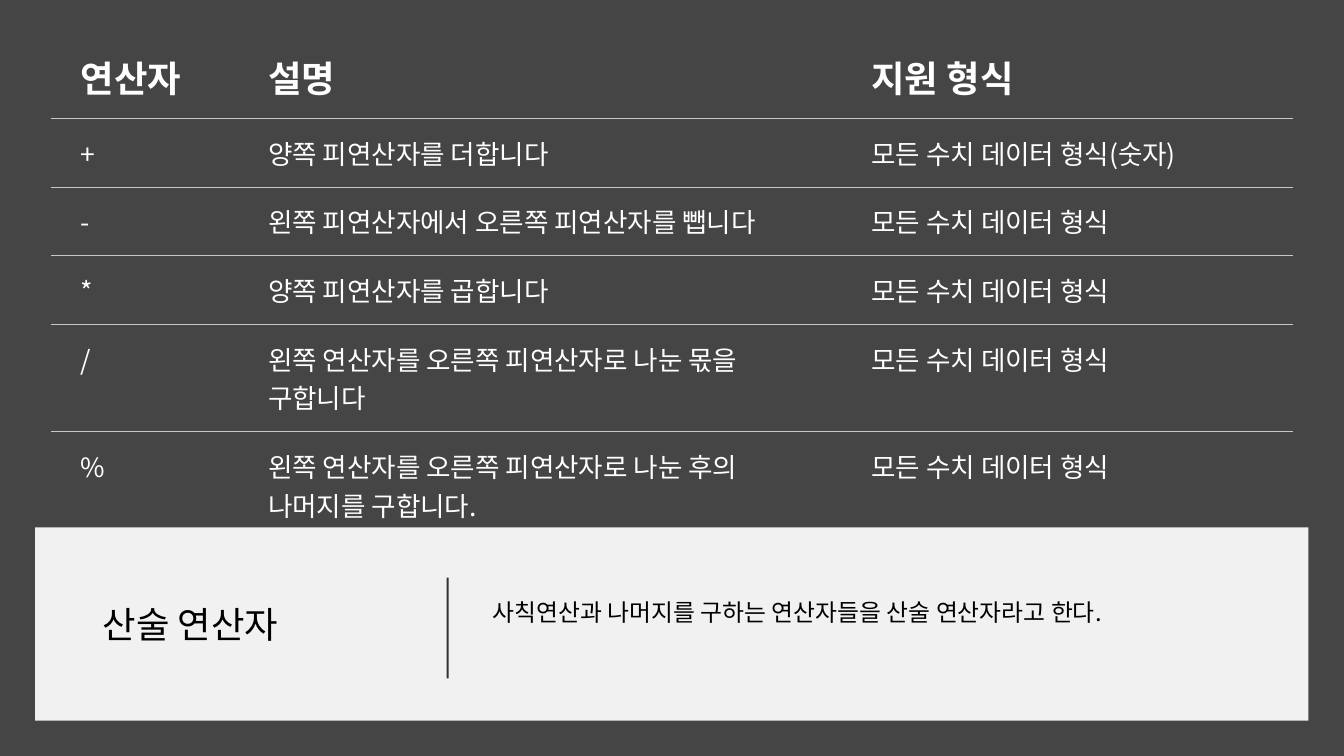
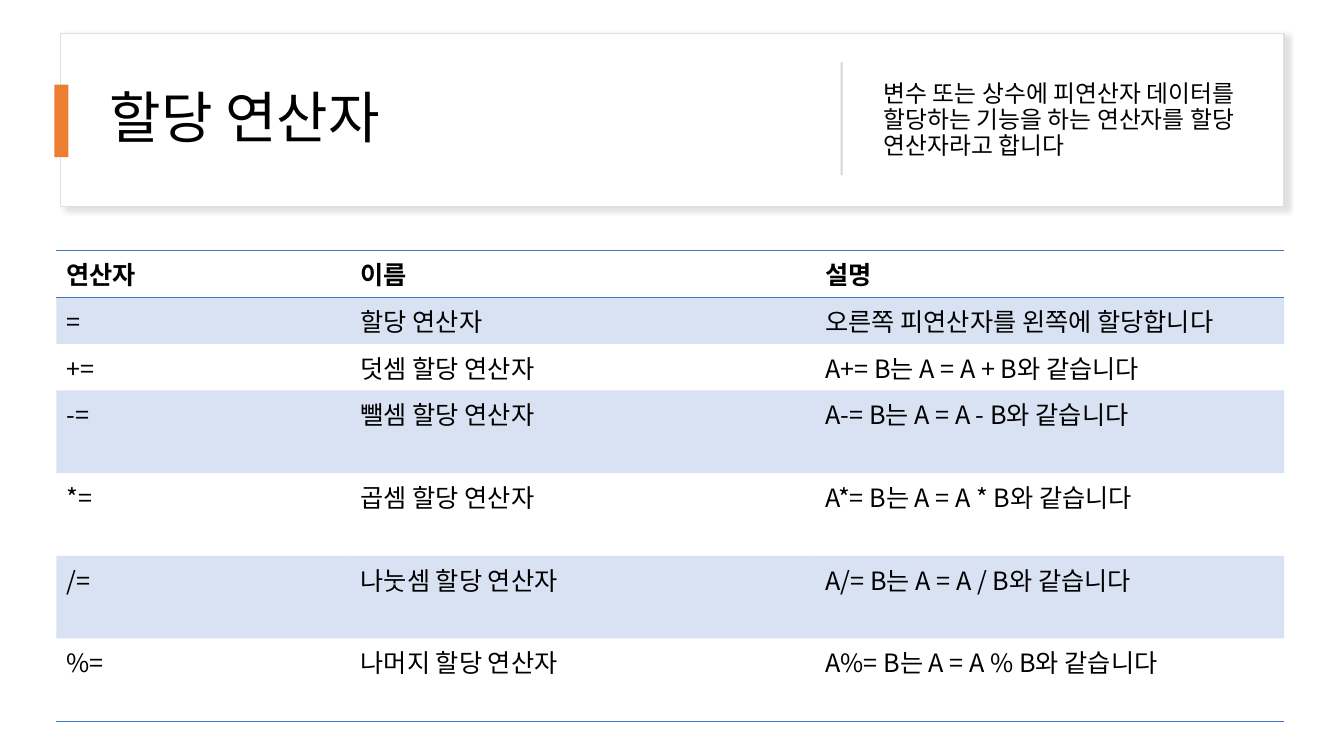
import pptx
import pptx.dml.color
import pptx.enum.shapes
import pptx.enum.text
import pptx.oxml
import pptx.oxml.ns
import pptx.util
from lxml import etree

Pt = pptx.util.Pt
qn = pptx.oxml.ns.qn
FONT = "Noto Sans CJK KR"
BLACK, WHITE, BLUE = "000000", "FFFFFF", "4472C4"

# Content
ANY_NUMBER = "모든 수치 데이터 형식"
ARITHMETIC = {
    "title": "산술 연산자",
    "summary": "사칙연산과 나머지를 구하는 연산자들을 산술 연산자라고 한다.",
    "rows": [
        ("연산자", "설명", "지원 형식"),
        ("+", "양쪽 피연산자를 더합니다", ANY_NUMBER + "(숫자)"),
        ("-", "왼쪽 피연산자에서 오른쪽 피연산자를 뺍니다", ANY_NUMBER),
        ("*", "양쪽 피연산자를 곱합니다", ANY_NUMBER),
        ("/", "왼쪽 연산자를 오른쪽 피연산자로 나눈 몫을 구합니다", ANY_NUMBER),
        ("%", "왼쪽 연산자를 오른쪽 피연산자로 나눈 후의 나머지를 구합니다.", ANY_NUMBER),
    ],
}
ASSIGNMENT = {
    "title": "할당 연산자",
    "summary": "변수 또는 상수에 피연산자 데이터를 할당하는 기능을 하는 연산자를 할당 연산자라고 합니다",
    "rows": [
        ("연산자", "이름", "설명"),
        ("=", "할당 연산자", "오른쪽 피연산자를 왼쪽에 할당합니다"),
        ("+=", "덧셈 할당 연산자", "A+= B는 A = A + B와 같습니다"),
        ("-=", "뺄셈 할당 연산자", "A-= B는 A = A - B와 같습니다"),
        ("*=", "곱셈 할당 연산자", "A*= B는 A = A * B와 같습니다"),
        ("/=", "나눗셈 할당 연산자", "A/= B는 A = A / B와 같습니다"),
        ("%=", "나머지 할당 연산자", "A%= B는 A = A % B와 같습니다"),
    ],
}


# Shared formatting
def rgb(color):
    return pptx.dml.color.RGBColor.from_string(color)


def points(lengths):
    return [Pt(length) for length in lengths]


def set_alpha(element, percent):
    for color in element.iter(qn("a:srgbClr")):
        etree.SubElement(color, qn("a:alpha"), val=str(percent * 1000))


def write(frame, text, size, color=BLACK, bold=False, line_spacing=None):
    paragraph = frame.paragraphs[0]
    paragraph.alignment = pptx.enum.text.PP_ALIGN.LEFT
    if line_spacing:
        paragraph.line_spacing = line_spacing
    run = paragraph.add_run()
    run.text = text
    run.font.size = Pt(size)
    run.font.bold = bold
    run.font.color.rgb = rgb(color)
    run.font.name = FONT
    latin = run.font._element.find(qn("a:latin"))
    latin.addnext(latin.makeelement(qn("a:ea"), {"typeface": FONT}))


def new_slide(presentation, background):
    slide = presentation.slides.add_slide(presentation.slide_layouts[5])
    slide.background.fill.solid()
    slide.background.fill.fore_color.rgb = rgb(background)
    return slide


def add_block(slide, box, color, alpha=None, outline=None):
    rectangle = pptx.enum.shapes.MSO_SHAPE.RECTANGLE
    shape = slide.shapes.add_shape(rectangle, *points(box))
    shape.shadow.inherit = False
    shape.fill.solid()
    shape.fill.fore_color.rgb = rgb(color)
    if alpha:
        set_alpha(shape._element.spPr, alpha)
    if outline:
        shape.line.color.rgb = rgb(outline)
        shape.line.width = Pt(1)
    else:
        shape.line.fill.background()
    return shape


def middle_text(shape, text, size):
    frame = shape.text_frame
    frame.word_wrap = True
    frame.auto_size = pptx.enum.text.MSO_AUTO_SIZE.NONE
    frame.vertical_anchor = pptx.enum.text.MSO_ANCHOR.MIDDLE
    write(frame, text, size, line_spacing=0.9)
    return frame


def add_title(slide, text, box, size):
    title = slide.shapes.title
    title.left, title.top, title.width, title.height = points(box)
    middle_text(title, text, size)
    slide.shapes._spTree.append(title._element)  # in front of its panel


def add_summary(slide, text, box):
    return middle_text(slide.shapes.add_textbox(*points(box)), text, 17)


def set_borders(cell, top, bottom, color, width):
    properties = cell._tc.get_or_add_tcPr()
    sides = (("L", False), ("R", False), ("T", top), ("B", bottom))
    for index, (side, ruled) in enumerate(sides):
        line = properties.makeelement(qn("a:ln" + side), {"w": str(Pt(width))})
        properties.insert(index, line)
        if ruled:
            fill = etree.SubElement(line, qn("a:solidFill"))
            etree.SubElement(fill, qn("a:srgbClr"), val=color)
        else:
            etree.SubElement(line, qn("a:noFill"))


def add_grid(slide, rows, corner, widths, heights, insets, sizes, color,
             rule, rule_width, ruled_edges, band=None):
    """ruled_edges counts the horizontal edges from 0, the top of the table."""
    table = slide.shapes.add_table(
        len(rows), len(widths), *points((*corner, sum(widths), sum(heights)))).table
    table.first_row = table.horz_banding = False
    for column, width in zip(table.columns, widths):
        column.width = Pt(width)
    for r, (texts, height) in enumerate(zip(rows, heights)):
        table.rows[r].height = Pt(height)
        for c, text in enumerate(texts):
            cell = table.cell(r, c)
            (cell.margin_left, cell.margin_top,
             cell.margin_right, cell.margin_bottom) = points(insets)
            if band and r % 2:
                cell.fill.solid()
                cell.fill.fore_color.rgb = rgb(band)
                set_alpha(cell._tc.tcPr, 20)
            else:
                cell.fill.background()
            set_borders(cell, r in ruled_edges, r + 1 in ruled_edges, rule, rule_width)
            write(cell.text_frame, text, sizes[r > 0], color, bold=r == 0)


# Slides
def arithmetic_slide(presentation):
    slide = new_slide(presentation, "454545")
    add_block(slide, (25.2, 376.6, 909.4, 138.2), WHITE, alpha=93)
    add_title(slide, ARITHMETIC["title"], (66.2, 394.6, 227.5, 105.8), 26)

    # Divider between title and summary
    divider = slide.shapes.add_connector(
        pptx.enum.shapes.MSO_CONNECTOR.STRAIGHT, *points((319.7, 484.6, 319.7, 412.6)))
    divider.line.color.rgb = rgb(BLACK)
    divider.line.width = Pt(1.5)
    set_alpha(divider._element.spPr, 80)
    etree.SubElement(divider._element.spPr, qn("a:effectLst"))

    frame = add_summary(slide, ARITHMETIC["summary"], (344.9, 394.6, 549.4, 105.8))
    frame.margin_bottom = Pt(21)
    add_grid(slide, ARITHMETIC["rows"], (36.7, 25.2), (133.9, 431, 321.8),
             [58.5] + [48.6] * 3 + [76] * 2, (20.9, 10.8, 15.8, 10.8), (26, 19),
             WHITE, "C7C6C1", 0.75, range(1, 6))


def assignment_slide(presentation):
    slide = new_slide(presentation, WHITE)
    panel = add_block(slide, (43.2, 23.8, 874.1, 123.8), WHITE, outline="DEDEDE")
    effects = panel._element.spPr.find(qn("a:effectLst"))
    shadow = etree.SubElement(
        effects, qn("a:outerShdw"), blurRad=str(Pt(4)), dist=str(Pt(3)),
        dir="2700000", algn="tl", rotWithShape="0")
    etree.SubElement(shadow, qn("a:srgbClr"), val="C5C3C3")
    set_alpha(shadow, 50)

    add_title(slide, ASSIGNMENT["title"], (71.3, 31.7, 506.2, 108), 40)
    add_summary(slide, ASSIGNMENT["summary"], (624.2, 39.6, 280.1, 93.6))
    add_block(slide, (38.9, 60.5, 10.1, 51.8), "ED7D31")
    add_block(slide, (600.5, 44.6, 1.4, 80.6), "D5D5D5")
    add_grid(slide, ASSIGNMENT["rows"], (40.3, 179), (210.2, 331.9, 334.8),
             [33.2] * 3 + [59.1] * 4, (7.2, 3.6, 7.2, 3.6), (18, 18),
             BLACK, BLUE, 1, (0, 1, 7), band=BLUE)


def main():
    presentation = pptx.Presentation()
    presentation.slide_width, presentation.slide_height = points((960, 540))
    arithmetic_slide(presentation)
    assignment_slide(presentation)
    presentation.save("out.pptx")


if __name__ == "__main__":
    main()
